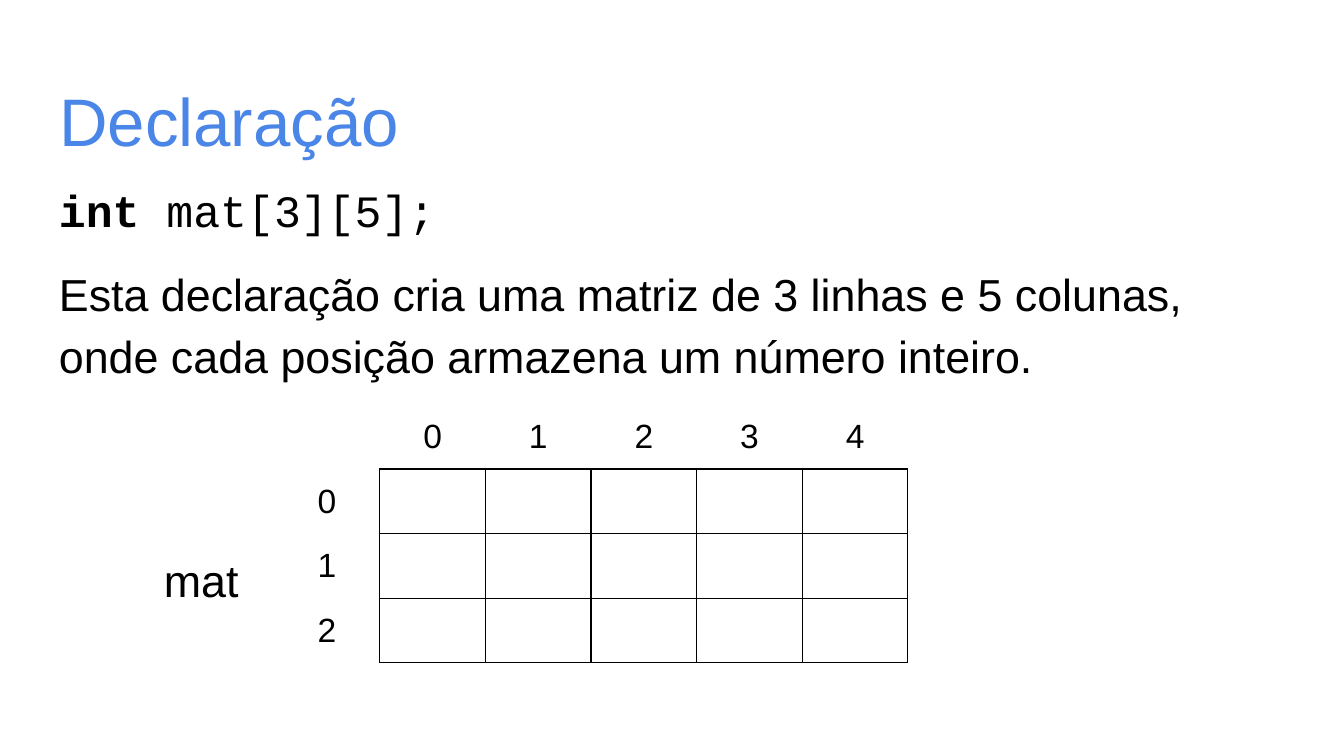
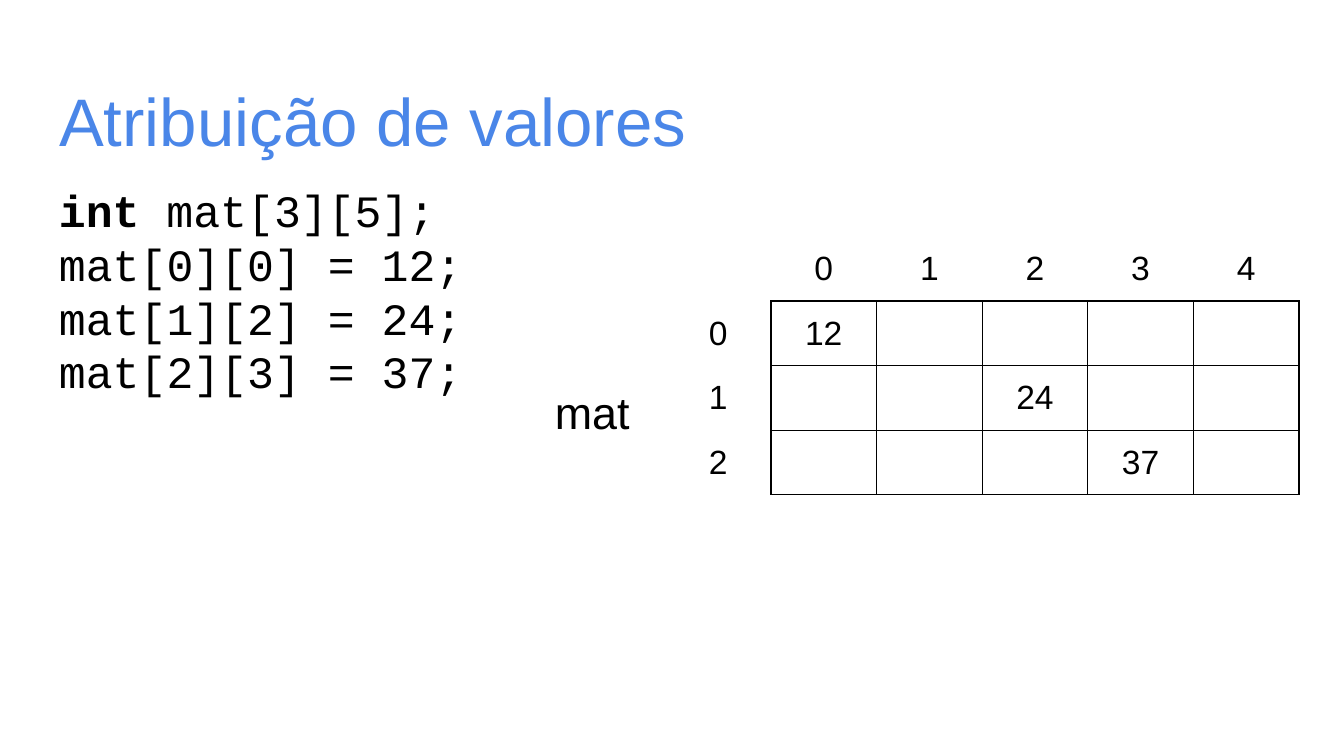
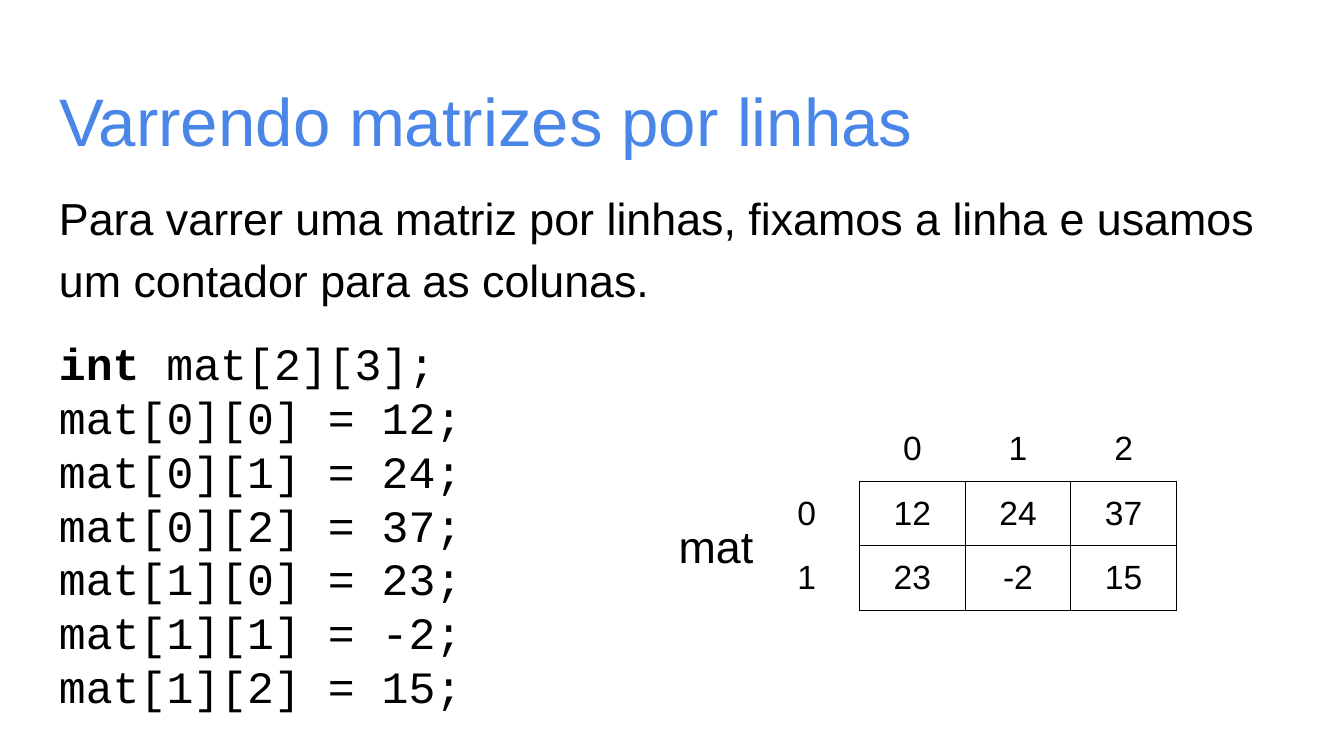
from lxml import etree
from pptx import Presentation
from pptx.dml.color import RGBColor
from pptx.enum.text import MSO_ANCHOR, MSO_AUTO_SIZE, PP_ALIGN
from pptx.oxml.ns import qn
from pptx.util import Inches, Pt

COLORS = {"title": "4A86E8", "ink": "000000", "paper": "FFFFFF"}
PROSE, CODE = "Arial", "Courier New"
CONTENT_LEFT, CONTENT_WIDTH = 0.34, 9.32
CELL_WIDTH, CELL_HEIGHT = 3.93 / 5, 0.43
BORDER = Pt(0.75)


def style_run(run, size, color="ink", font=PROSE, bold=False):
    run.font.size = Pt(size)
    run.font.name = font
    run.font.bold = bold
    run.font.color.rgb = RGBColor.from_string(COLORS[color])


def prepare_frame(frame):
    frame.word_wrap = True
    frame.auto_size = MSO_AUTO_SIZE.NONE
    frame.vertical_anchor = MSO_ANCHOR.TOP
    frame.margin_left = frame.margin_right = Inches(0.1)
    frame.margin_top = frame.margin_bottom = Inches(0.1)


def add_text_area(slide, left, top, width, height):
    area = slide.shapes.add_textbox(
        Inches(left), Inches(top), Inches(width), Inches(height))
    prepare_frame(area.text_frame)
    return area.text_frame


def add_titled_slide(deck, heading):
    slide = deck.slides.add_slide(deck.slide_layouts[5])
    title = slide.shapes.title
    title.left, title.top = Inches(CONTENT_LEFT), Inches(0.49)
    title.width, title.height = Inches(CONTENT_WIDTH), Inches(0.63)
    prepare_frame(title.text_frame)
    title.text_frame.text = heading
    paragraph = title.text_frame.paragraphs[0]
    paragraph.alignment = PP_ALIGN.LEFT
    style_run(paragraph.runs[0], 36, "title")
    return slide


def add_body(slide):
    return add_text_area(slide, CONTENT_LEFT, 1.26, CONTENT_WIDTH, 3.74)


def next_paragraph(frame, space_before=0):
    """Return the frame's first paragraph while it is empty, else a new one."""
    first = frame.paragraphs[0]
    paragraph = frame.add_paragraph() if first.runs else first
    paragraph.space_before = Pt(space_before)
    return paragraph


def write_prose(frame, sentence, space_before=0):
    paragraph = next_paragraph(frame, space_before)
    paragraph.text = sentence
    paragraph.line_spacing = 1.15
    style_run(paragraph.runs[0], 24)


def write_code(frame, rows, columns, values, space_before=0):
    """Write the declaration of the matrix and one assignment per value."""
    declaration = next_paragraph(frame, space_before)
    for part, bold in (("int ", True), (f"mat[{rows}][{columns}];", False)):
        run = declaration.add_run()
        run.text = part
        style_run(run, 24, font=CODE, bold=bold)
    for (row, column), value in values.items():
        assignment = next_paragraph(frame)
        assignment.text = f"mat[{row}][{column}] = {value};"
        style_run(assignment.runs[0], 24, font=CODE)


def set_borders(cell, **sides):
    properties = cell._tc.get_or_add_tcPr()
    for side in "LRTB":
        line = etree.SubElement(properties, qn(f"a:ln{side}"), w=str(BORDER))
        fill = etree.SubElement(line, qn("a:solidFill"))
        etree.SubElement(fill, qn("a:srgbClr"), val=COLORS[sides[side]])


def format_cell(cell, row, column):
    edge = "ink" if row > 0 and column > 0 else "paper"
    set_borders(cell, L=edge, T=edge,
                R="ink" if row > 0 else "paper",
                B="ink" if column > 0 else "paper")
    cell.fill.background()
    cell.margin_left = cell.margin_right = Inches(0.1)
    cell.margin_top = cell.margin_bottom = Inches(0.1)
    cell.vertical_anchor = MSO_ANCHOR.MIDDLE if row else MSO_ANCHOR.TOP


def fill_cell(cell, label):
    """Write the label, or keep an empty cell from stretching its row."""
    paragraph = cell.text_frame.paragraphs[0]
    if label is None:
        etree.SubElement(paragraph._p, qn("a:endParaRPr"), sz="1400")
        return
    paragraph.text = str(label)
    paragraph.alignment = PP_ALIGN.CENTER
    style_run(paragraph.runs[0], 18)


def add_matrix(slide, left, top, rows, columns, values, name_offset):
    """Draw the indexed grid, with its name at name_offset from its corner."""
    grid = slide.shapes.add_table(
        rows + 1, columns + 1, Inches(left), Inches(top),
        Inches(CELL_WIDTH * (columns + 1)),
        Inches(CELL_HEIGHT * (rows + 1))).table
    grid.first_row = grid.horz_banding = False
    labels = {(0, column + 1): column for column in range(columns)}
    labels |= {(row + 1, 0): row for row in range(rows)}
    labels |= {(row + 1, column + 1): value
               for (row, column), value in values.items()}
    for row in range(rows + 1):
        for column in range(columns + 1):
            cell = grid.cell(row, column)
            format_cell(cell, row, column)
            fill_cell(cell, labels.get((row, column)))

    across, down = name_offset
    name = add_text_area(slide, left + across, top + down, 0.79, 0.63)
    name.text = "mat"
    style_run(name.paragraphs[0].runs[0], 24)


def add_declaration_slide(deck):
    slide = add_titled_slide(deck, "Declaração")
    body = add_body(slide)
    write_code(body, 3, 5, {})
    write_prose(body, "Esta declaração cria uma matriz de 3 linhas e 5 colunas, "
                "onde cada posição armazena um número inteiro.", 12)
    add_matrix(slide, 2.04, 3.01, 3, 5, {}, (-0.92, 1))


def add_assignment_slide(deck):
    values = {(0, 0): 12, (1, 2): 24, (2, 3): 37}
    slide = add_titled_slide(deck, "Atribuição de valores")
    write_code(add_body(slide), 3, 5, values)
    add_matrix(slide, 4.95, 1.76, 3, 5, values, (-0.92, 1))


def add_row_scan_slide(deck):
    values = {(0, 0): 12, (0, 1): 24, (0, 2): 37,
              (1, 0): 23, (1, 1): -2, (1, 2): 15}
    slide = add_titled_slide(deck, "Varrendo matrizes por linhas")
    body = add_body(slide)
    write_prose(body, "Para varrer uma matriz por linhas, fixamos a linha e "
                "usamos um contador para as colunas.")
    write_code(body, 2, 3, values, 16)
    add_matrix(slide, 5.61, 3.1, 2, 3, values, (-0.66, 0.66))


def main():
    deck = Presentation()
    deck.slide_width = Inches(10)
    deck.slide_height = deck.slide_width * 9 // 16
    add_declaration_slide(deck)
    add_assignment_slide(deck)
    add_row_scan_slide(deck)
    deck.save("out.pptx")


if __name__ == "__main__":
    main()
